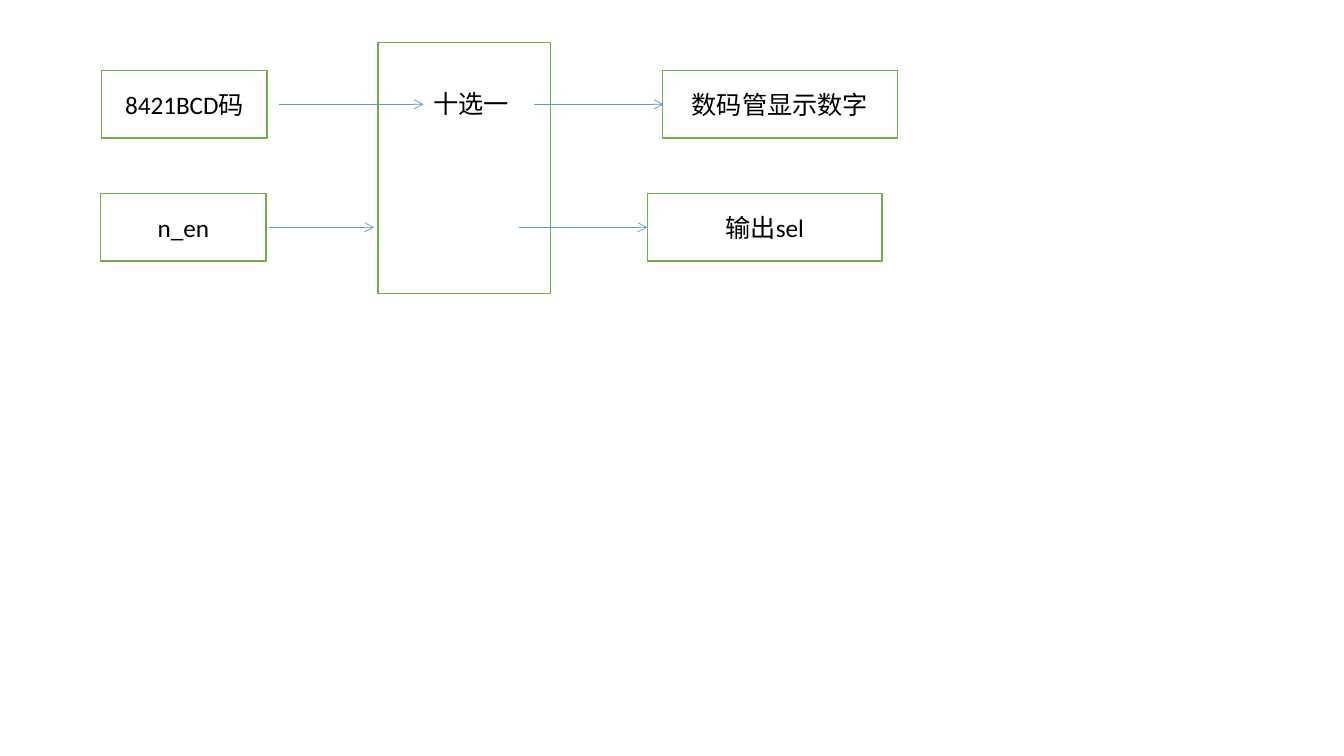
import pptx
import pptx.util
import pptx.dml.color
import pptx.enum.shapes
import pptx.enum.text
import lxml.etree
from pptx.oxml.ns import qn
from pptx.util import Inches, Pt

WHITE = pptx.dml.color.RGBColor(0xFF, 0xFF, 0xFF)
BLACK = pptx.dml.color.RGBColor(0x00, 0x00, 0x00)
GREEN = pptx.dml.color.RGBColor(0x70, 0xAD, 0x47)
BLUE = pptx.dml.color.RGBColor(0x5B, 0x9B, 0xD5)

ROW_TOPS = (0.7, 1.92)
ROW_HEIGHT = 0.67
INPUT_WIDTH = 1.64
OUTPUT_WIDTH = 2.33
INPUTS = [("8421BCD码", 1.01), ("n_en", 1.0)]
OUTPUTS = [("数码管显示数字", 6.57), ("输出sel", 6.42)]
SELECTOR = (3.75, 0.42, 1.71, 2.49)
SELECTOR_LABEL = ("十选一", (4.2, 0.83, 1.26, 0.4))
ARROWS = [(2.77, 4.2, 0), (2.67, 3.71, 1), (5.3, 6.58, 0), (5.15, 6.42, 1)]


def write_text(shape, text, size=18, color=BLACK, font="Calibri",
               align=pptx.enum.text.PP_ALIGN.CENTER,
               anchor=pptx.enum.text.MSO_ANCHOR.MIDDLE):
    """Put one formatted line of text into a shape."""
    frame = shape.text_frame
    frame.word_wrap = True
    frame.vertical_anchor = anchor
    paragraph = frame.paragraphs[0]
    paragraph.alignment = align
    run = paragraph.add_run()
    run.text = text
    run.font.size = Pt(size)
    run.font.name = font
    run.font.color.rgb = color


def add_box(slide, bounds):
    """Add a white rectangle with a green outline."""
    shape = slide.shapes.add_shape(
        pptx.enum.shapes.MSO_SHAPE.RECTANGLE, *map(Inches, bounds))
    shape.shadow.inherit = False
    shape.fill.solid()
    shape.fill.fore_color.rgb = WHITE
    shape.line.color.rgb = GREEN
    shape.line.width = Pt(1)
    return shape


def add_column(slide, items, width):
    """Add one labelled box per row."""
    for (text, left), top in zip(items, ROW_TOPS):
        write_text(add_box(slide, (left, top, width, ROW_HEIGHT)), text)


def add_arrow(slide, start, end, row):
    """Add a horizontal arrow through the middle of a row."""
    middle = Inches(ROW_TOPS[row] + ROW_HEIGHT / 2)
    connector = slide.shapes.add_connector(
        pptx.enum.shapes.MSO_CONNECTOR.STRAIGHT,
        Inches(start), middle, Inches(end), middle)
    connector.line.color.rgb = BLUE
    connector.line.width = Pt(0.5)
    line = connector.line._get_or_add_ln()
    lxml.etree.SubElement(line, qn("a:tailEnd"), type="arrow")
    lxml.etree.SubElement(connector._element.spPr, qn("a:effectLst"))


def main():
    """Build the selector diagram and save it."""
    presentation = pptx.Presentation()
    presentation.slide_width = Inches(13.33)
    presentation.slide_height = Inches(7.5)
    slide = presentation.slides.add_slide(presentation.slide_layouts[6])

    add_column(slide, INPUTS, INPUT_WIDTH)
    add_box(slide, SELECTOR)
    text, bounds = SELECTOR_LABEL
    label = slide.shapes.add_textbox(*map(Inches, bounds))
    write_text(label, text, align=pptx.enum.text.PP_ALIGN.LEFT,
               anchor=pptx.enum.text.MSO_ANCHOR.TOP)
    label.text_frame.auto_size = pptx.enum.text.MSO_AUTO_SIZE.SHAPE_TO_FIT_TEXT
    for arrow in ARROWS:
        add_arrow(slide, *arrow)
    add_column(slide, OUTPUTS, OUTPUT_WIDTH)

    presentation.save("out.pptx")


if __name__ == "__main__":
    main()
